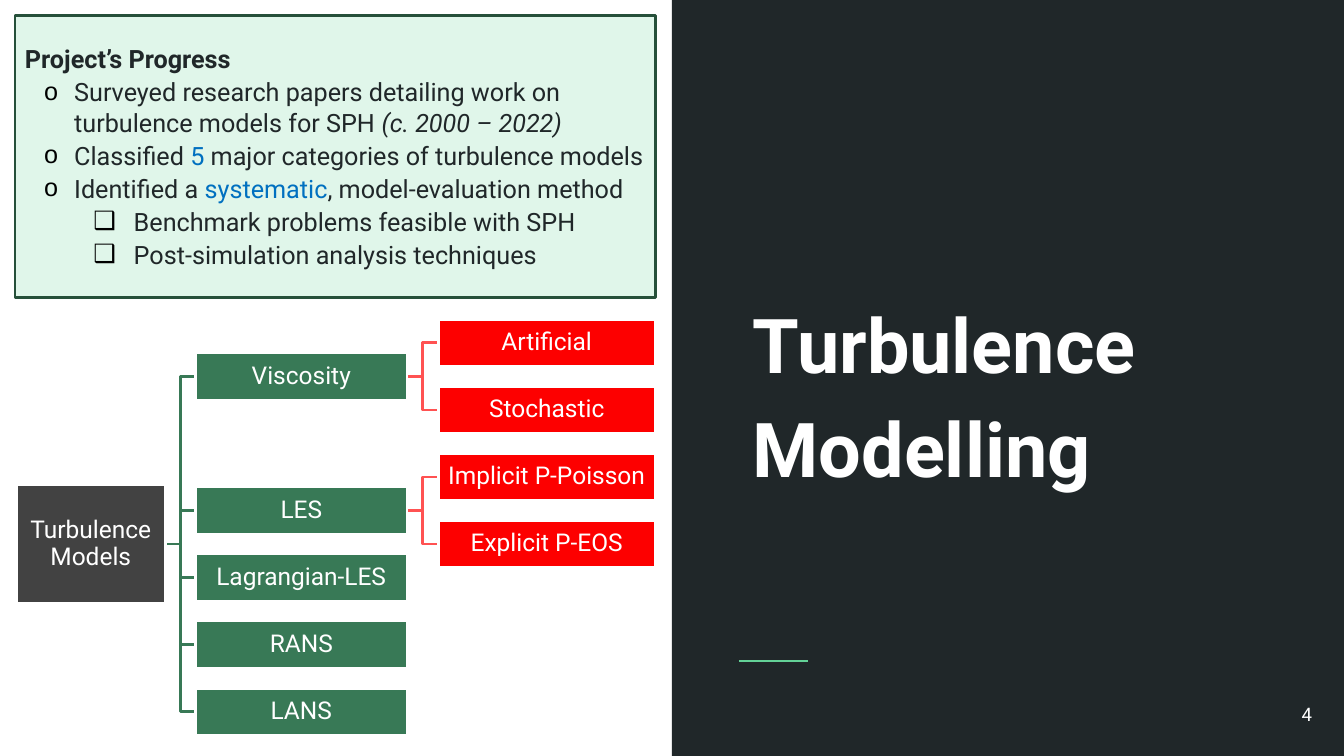
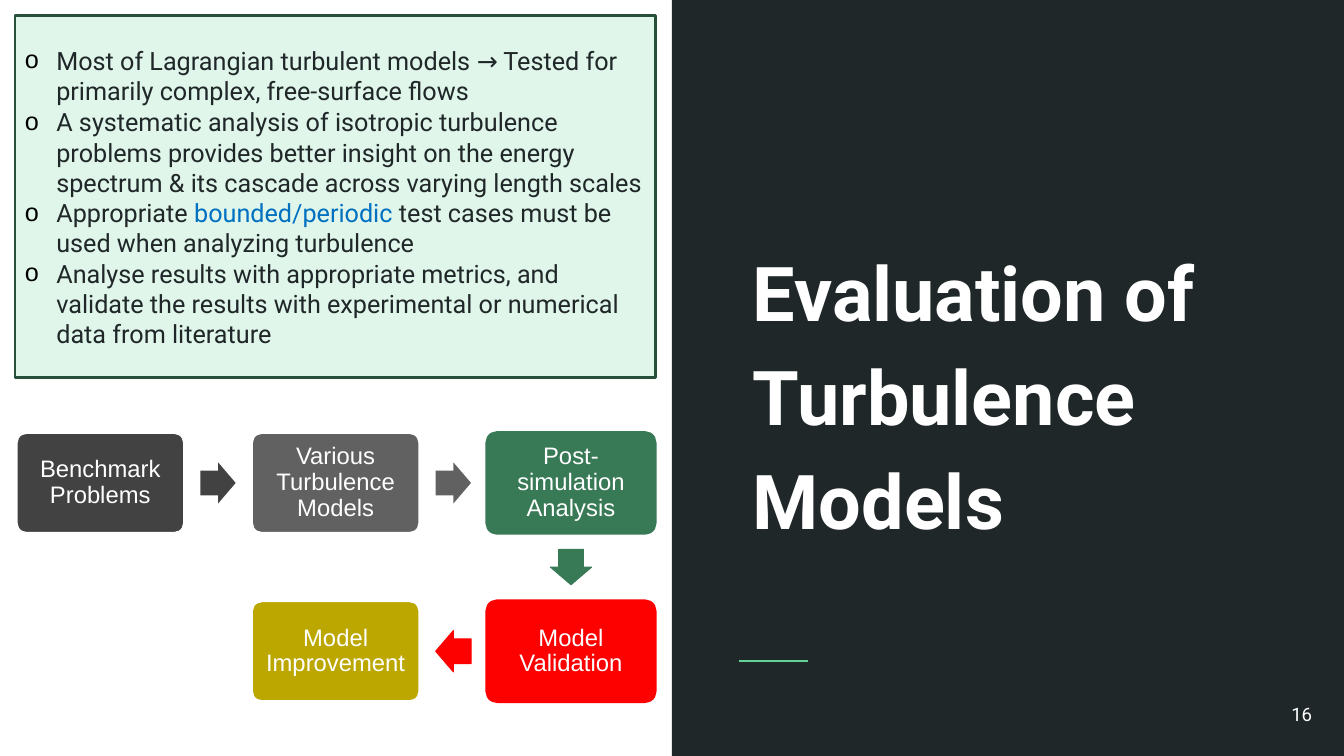
from math import atan2, degrees

from lxml.etree import SubElement
from pptx import Presentation
from pptx.dml.color import RGBColor as RGB
from pptx.enum.shapes import MSO_CONNECTOR as Link, MSO_SHAPE as Kind
from pptx.enum.text import MSO_ANCHOR as Anchor, MSO_AUTO_SIZE as Fit, PP_ALIGN as Align
from pptx.oxml.ns import qn
from pptx.util import Cm, Pt

# Colours and text formats
HUES = {
    "dark": "202729", "mint": "63D297", "pale": "E0F6EA", "pine": "26503A",
    "green": "387956", "red": "FD0000", "coral": "FF5252", "coal": "424242",
    "gray": "616161", "gold": "BBA700", "blue": "0070C0", "white": "FFFFFF",
    "black": "000000",
}
HEAD = {"name": "Roboto", "size": Pt(54), "bold": True}
BODY = {"name": "Roboto", "size": Pt(18), "bold": False}
NODE = {"name": "Roboto", "size": Pt(17.5)}
STEP = {"name": "Arial", "size": Pt(17)}
FOOT = {"name": "Roboto", "size": Pt(13.3)}
MARKS = {"": {}, "bold": {"bold": True}, "ital": {"italic": True}, "blue": {}}

# List levels: level, bullet, left margin, hanging indent (cm)
TOP = (0, "", 0, 0)
SUB = (0, "o", 1.24, 0.76)
DEEP = (1, "❑", 2.74, 1.02)
FLAT = (0, "o", 0.79, 0.79)

# Content: each list item is a level, its spacing in points and its runs
PAGES = [
    {
        "title": "Turbulence Modelling", "num": "4", "tall": 7.09,
        "list": [
            (TOP, 1, [("Project’s Progress", "bold")]),
            (SUB, 1, [("Surveyed research papers detailing work on turbulence models for SPH ", ""),
                      ("(c. 2000 – 2022)", "ital")]),
            (SUB, 1, [("Classified ", ""), ("5", "blue"),
                      (" major categories of turbulence models", "")]),
            (SUB, 1, [("Identified a ", ""), ("systematic", "blue"),
                      (", model-evaluation method", "")]),
            (DEEP, 1, [("Benchmark problems feasible with SPH", "")]),
            (DEEP, 1, [("Post-simulation analysis techniques", "")]),
        ],
    },
    {
        "title": "Evaluation of Turbulence Models", "num": "16", "tall": 9.12,
        "list": [
            (FLAT, 1, [("Most of Lagrangian turbulent models → Tested for primarily "
                        "complex, free-surface flows", "")]),
            (FLAT, 0, [("A systematic analysis of isotropic turbulence problems provides better "
                        "insight on the energy spectrum & its cascade across varying "
                        "length scales", "")]),
            (FLAT, 0, [("Appropriate ", ""), ("bounded/periodic ", "blue"),
                       ("test cases must be used when analyzing turbulence", "")]),
            (FLAT, 0, [("Analyse results with appropriate metrics, and validate the results with "
                        "experimental or numerical data from literature", "")]),
        ],
    },
]
ROOT = "Turbulence Models"
TREE = [
    ("Viscosity", ["Artificial", "Stochastic"]),
    ("LES", ["Implicit P-Poisson", "Explicit P-EOS"]),
    ("Lagrangian-LES", []),
    ("RANS", []),
    ("LANS", []),
]
# Steps: text, column, row, fill, edge
FLOW = [
    ("Benchmark Problems", 0, 0, "coal", "white"),
    ("Various Turbulence Models", 1, 0, "gray", "white"),
    ("Post-simulation Analysis", 2, 0, "green", "green"),
    ("Model Validation", 2, 1, "red", "red"),
    ("Model Improvement", 1, 1, "gold", "white"),
]


def hue(name):
    return RGB.from_string(HUES[name])


def apply(obj, vals):
    for key, val in vals.items():
        setattr(obj, key, val)


def place(shape, x, y, w, h):
    apply(shape, {"left": Cm(x), "top": Cm(y), "width": Cm(w), "height": Cm(h)})


def paint(shape, fill, edge=None, wide=2):
    shape.fill.solid()
    shape.fill.fore_color.rgb = hue(fill)
    if edge:
        shape.line.color.rgb = hue(edge)
        shape.line.width = Pt(wide)
    else:
        shape.line.fill.background()


def draw(slide, kind, box, fill, edge=None, wide=2):
    shape = slide.shapes.add_shape(kind, *map(Cm, box))
    shape.shadow.inherit = False
    paint(shape, fill, edge, wide)
    return shape


def frame(shape, x, y):
    text = shape.text_frame
    apply(text, {"word_wrap": True, "auto_size": Fit.NONE,
                 "vertical_anchor": Anchor.MIDDLE,
                 "margin_left": Cm(x), "margin_right": Cm(x),
                 "margin_top": Cm(y), "margin_bottom": Cm(y)})
    return text


def write(para, text, font, tint):
    run = para.add_run()
    run.text = text
    apply(run.font, font)
    run.font.color.rgb = hue(tint)


def label(shape, text, font, pad, tint="white", **fmt):
    para = frame(shape, pad, pad).paragraphs[0]
    apply(para, fmt)
    write(para, text, font, tint)
    return para


def wire(slide, kind, ends, tint, wide):
    line = slide.shapes.add_connector(kind, *map(Cm, ends))
    line.line.color.rgb = hue(tint)
    line.line.width = Pt(wide)
    SubElement(line.element.spPr, qn("a:effectLst"))
    return line


def indent(para, left, hang):
    props = para._p.get_or_add_pPr()
    props.set("marL", str(Cm(left)))
    props.set("indent", str(-Cm(hang)))
    return props


def fill_list(shape, items):
    text = frame(shape, 0.25, 0.13)
    for i, ((level, mark, left, hang), gap, runs) in enumerate(items):
        para = text.add_paragraph() if i else text.paragraphs[0]
        apply(para, {"level": level, "alignment": Align.LEFT,
                     "space_before": Pt(gap), "space_after": Pt(gap)})
        props = indent(para, left, hang)
        if mark:
            tone = SubElement(props, qn("a:buClr"))
            SubElement(tone, qn("a:srgbClr")).set("val", HUES["black"])
            SubElement(props, qn("a:buChar")).set("char", mark)
        else:
            SubElement(props, qn("a:buNone"))
        for words, style in runs:
            tint = "blue" if style == "blue" else "dark"
            write(para, words, BODY | MARKS[style], tint)


# Shared parts: dark half, accent line, title, list box, page number
def start(deck, page):
    slide = deck.slides.add_slide(deck.slide_layouts[1])
    title, body = slide.placeholders
    half = draw(slide, Kind.RECTANGLE, (16.93, 0, 16.94, 19.05), "dark")
    title.element.addprevious(half.element)
    wire(slide, Link.STRAIGHT, (18.62, 16.66, 20.37, 16.66), "mint", 1.5)
    place(title, 18.29, 2.69, 14.2, 14.2)
    para = label(title, page["title"], HEAD, 0.25, alignment=Align.LEFT, line_spacing=1.15)
    indent(para, 0.43, 0)
    place(body, 0.38, 0.4, 16.13, page["tall"])
    paint(body, "pale", "pine")
    fill_list(body, page["list"])
    foot = slide.shapes.add_textbox(*map(Cm, (31.37, 17.27, 2.03, 1.45)))
    label(foot, page["num"], FOOT, 0.33, alignment=Align.RIGHT)
    return slide


# Tree of models, a parent centred on its children
def add_tree(slide):
    def node(text, x, row, w, h, fill):
        box = (x, 8.64 + 1.69 * row - h / 2, w, h)
        shape = draw(slide, Kind.RECTANGLE, box, fill, "white")
        label(shape, text, NODE, 0.03, alignment=Align.CENTER, line_spacing=0.9)
        return shape

    def join(a, b, tint):
        line = wire(slide, Link.ELBOW, (0, 0, 1, 1), tint, 2)
        line.begin_connect(a, 3)
        line.end_connect(b, 1)
        slide.shapes.title.element.addprevious(line.element)

    row, heads, rows = 0, [], []
    for text, kids in TREE:
        mid = row + (len(kids) - 1) / 2 if kids else rows[-1] + 1
        head = node(text, 4.93, mid, 5.33, 1.19, "green")
        for kid in kids:
            join(head, node(kid, 11.05, row, 5.46, 1.19, "red"), "coral")
            row += 1
        heads.append(head)
        rows.append(mid)
    root = node(ROOT, 0.41, (rows[0] + rows[-1]) / 2, 3.76, 3, "coal")
    for head in heads:
        join(root, head, "green")


# Flow of steps, an arrow halfway between neighbours
def add_flow(slide):
    wide, high, long, thick = 4.24, 2.54, 0.89, 1.04
    spots = [(0.41 + 5.93 * col, 10.9 + 4.24 * row) for _, col, row, _, _ in FLOW]
    for (text, _, _, fill, edge), (x, y) in zip(FLOW, spots):
        shape = draw(slide, Kind.ROUNDED_RECTANGLE, (x, y, wide, high), fill, edge)
        shape.adjustments[0] = 0.1
        label(shape, text, STEP, 0.18, alignment=Align.CENTER, line_spacing=0.9)
    for (_, _, _, fill, edge), (x, y), (nx, ny) in zip(FLOW, spots, spots[1:]):
        box = ((x + nx + wide - long) / 2, (y + ny + high - thick) / 2, long, thick)
        rim = None if edge == "white" else edge
        arrow = draw(slide, Kind.RIGHT_ARROW, box, fill, rim, 0.75)
        arrow.adjustments[0] = 0.6
        arrow.rotation = degrees(atan2(ny - y, nx - x))


def main():
    deck = Presentation()
    apply(deck, {"slide_width": Cm(33.87), "slide_height": Cm(19.05)})
    for page, add in zip(PAGES, (add_tree, add_flow)):
        add(start(deck, page))
    deck.save("out.pptx")


if __name__ == "__main__":
    main()
